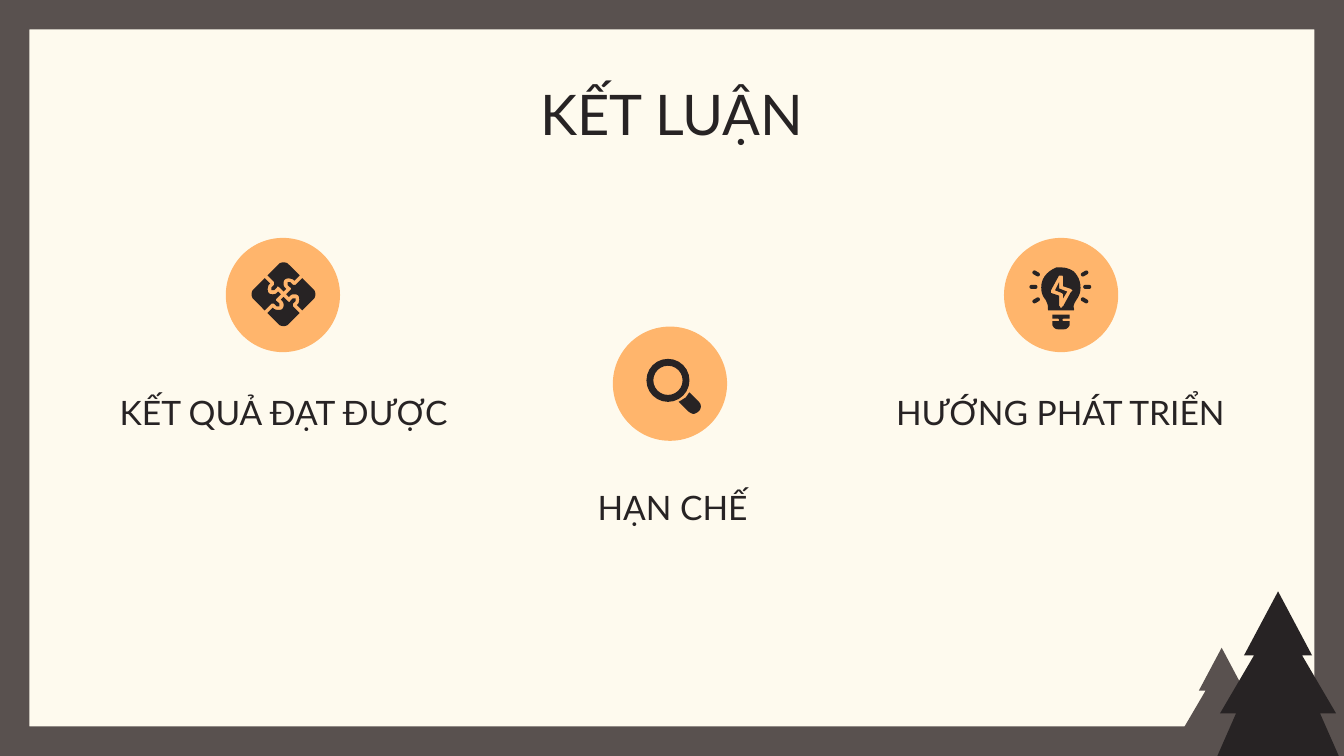
from dataclasses import dataclass

from pptx import Presentation
from pptx.dml.color import RGBColor
from pptx.enum.shapes import MSO_SHAPE
from pptx.enum.text import MSO_ANCHOR, PP_ALIGN
from pptx.shapes.autoshape import Shape
from pptx.slide import Slide
from pptx.util import Inches, Pt

CREAM = RGBColor(0xFE, 0xFA, 0xEE)
BROWN = RGBColor(0x59, 0x51, 0x4F)
DARK = RGBColor(0x27, 0x23, 0x24)
AMBER = RGBColor(0xFF, 0xB5, 0x6C)
WIDE, HIGH = 10, 5.625
DISC = 0.85

Box = tuple[float, float, float, float]
Step = tuple[float, ...]
Path = list[Step]


@dataclass
class Topic:
    label: str
    box: Box
    disc: tuple[float, float]


@dataclass
class Pine:
    mid: float
    top: float
    scale: float
    color: RGBColor


TOPICS = [
    Topic("KẾT QUẢ ĐẠT ĐƯỢC", (0.67, 2.81, 2.88, 0.51), (1.68, 1.77)),
    Topic("HẠN CHẾ", (4.22, 3.53, 1.57, 0.49), (4.56, 2.43)),
    Topic("HƯỚNG PHÁT TRIỂN", (6.45, 2.81, 2.88, 0.51), (7.47, 1.77)),
]
PINES = [Pine(9.09, 4.82, 1, BROWN), Pine(9.51, 4.4, 1.49, DARK)]
BOUGHS = [(0, 0), (0.17, 0.32), (0.12, 0.32), (0.29, 0.61), (0.21, 0.61), (0.32, 0.86)]

HUB = (2.11, 2.19)
PIECE = [
    (-0.14, -0.12), (-0.23, -0.03), (-0.24, -0.01, -0.24, 0.01, -0.23, 0.03),
    (-0.14, 0.12), (-0.09, 0.07), (-0.09, 0.07, -0.08, 0.07, -0.08, 0.07),
    (-0.08, 0.07, -0.07, 0.07, -0.07, 0.07), (-0.05, 0.09),
    (-0.05, 0.09, -0.05, 0.09, -0.04, 0.09), (-0.04, 0.09, -0.04, 0.09, -0.03, 0.09),
    (-0.03, 0.08, -0.03, 0.07, -0.03, 0.07), (-0.05, 0.05),
    (-0.06, 0.05, -0.06, 0.04, -0.05, 0.03), (-0.02, 0), (-0.04, -0.02), (-0.05, -0.01),
    (-0.06, 0, -0.07, 0, -0.08, 0), (-0.09, 0, -0.1, 0, -0.11, -0.01),
    (-0.12, -0.02, -0.12, -0.05, -0.11, -0.07), (-0.1, -0.08),
]
HANDLE = [
    (5.13, 2.92), (5.12, 2.93, 5.11, 2.95, 5.1, 2.96), (5.08, 2.97, 5.07, 2.98, 5.05, 2.99),
    (5.12, 3.06), (5.13, 3.07, 5.15, 3.08, 5.16, 3.08), (5.17, 3.08, 5.19, 3.07, 5.2, 3.06),
    (5.22, 3.04, 5.22, 3.01, 5.2, 2.99),
]
GLASS = [
    (7.9, 1.99), (7.88, 1.99, 7.87, 1.99, 7.86, 1.99), (7.81, 2.01, 7.76, 2.05, 7.75, 2.11),
    (7.74, 2.17, 7.76, 2.21, 7.78, 2.23), (7.81, 2.29, 7.79, 2.29, 7.8, 2.31), (7.99, 2.31),
    (8, 2.29, 7.97, 2.29, 8.01, 2.23), (8.03, 2.2, 8.04, 2.18, 8.04, 2.14),
    (8.04, 2.09, 8.02, 2.05, 7.99, 2.02), (7.96, 2, 7.93, 1.99, 7.9, 1.99),
]
HOLE = [
    (7.9, 2.05), (7.9, 2.05, 7.91, 2.05, 7.91, 2.06), (7.91, 2.13), (7.97, 2.15),
    (7.97, 2.15, 7.98, 2.16, 7.98, 2.16), (7.98, 2.16, 7.98, 2.17, 7.97, 2.17),
    (7.91, 2.28), (7.9, 2.28, 7.9, 2.29, 7.9, 2.29), (7.89, 2.29),
    (7.89, 2.28, 7.88, 2.28, 7.88, 2.27), (7.88, 2.2), (7.82, 2.18),
    (7.82, 2.18, 7.82, 2.17, 7.82, 2.17), (7.82, 2.17, 7.82, 2.16, 7.82, 2.16),
    (7.88, 2.05), (7.89, 2.05, 7.89, 2.05, 7.9, 2.05),
]
BOLT = [
    (7.88, 2.1), (7.85, 2.16), (7.9, 2.18), (7.9, 2.18, 7.91, 2.19, 7.91, 2.19),
    (7.91, 2.22), (7.94, 2.17), (7.89, 2.15), (7.88, 2.15, 7.88, 2.14, 7.88, 2.14),
]
BASE = [
    (7.83, 2.34), (7.83, 2.37), (7.87, 2.37), (7.88, 2.37, 7.89, 2.39, 7.87, 2.39),
    (7.83, 2.39), (7.83, 2.41), (7.83, 2.43, 7.85, 2.45, 7.87, 2.45), (7.92, 2.45),
    (7.94, 2.45, 7.96, 2.43, 7.96, 2.41), (7.96, 2.39), (7.92, 2.39),
    (7.9, 2.39, 7.9, 2.37, 7.92, 2.37), (7.96, 2.37), (7.96, 2.34),
]
RAYS = [(0.2, 0, 0), (0.18, -0.1, -30), (0.18, 0.1, 30)]


def paint(shape: Shape, color: RGBColor) -> Shape:
    """Give a shape a plain fill with no line or shadow."""
    shape.shadow.inherit = False
    shape.fill.solid()
    shape.fill.fore_color.rgb = color
    shape.line.fill.background()
    return shape


def add_form(slide: Slide, kind: MSO_SHAPE, box: Box, color: RGBColor, *,
             bend: float | None = None, turn: float = 0) -> None:
    """Draw a preset shape."""
    shape = paint(slide.shapes.add_shape(kind, *map(Inches, box)), color)
    shape.rotation = turn
    if bend is not None:
        shape.adjustments[0] = bend


def trace(path: Path, count: int = 6) -> list[tuple[int, int]]:
    """Turn lines and cubic curves into points."""
    dots = [path[0]]
    for step in path[1:]:
        if len(step) == 2:
            dots.append(step)
            continue
        chain = (*dots[-1], *step)
        for part in range(1, count + 1):
            t = part / count
            rates = ((1 - t) ** 3, 3 * t * (1 - t) ** 2, 3 * t * t * (1 - t), t ** 3)
            dots.append(tuple(sum(r * v for r, v in zip(rates, chain[k::2])) for k in (0, 1)))
    return [(Inches(x), Inches(y)) for x, y in dots]


def add_path(slide: Slide, color: RGBColor, *paths: Path) -> None:
    """Draw one outline, with any further paths as holes."""
    first, *rest = map(trace, paths)
    pen = slide.shapes.build_freeform(*first[0])
    pen.add_line_segments(first[1:], close=True)
    for dots in rest:
        pen.move_to(*dots[0])
        pen.add_line_segments(dots[1:], close=True)
    paint(pen.convert_to_shape(), color)


def add_text(slide: Slide, text: str, *, box: Box, size: float,
             anchor: MSO_ANCHOR = MSO_ANCHOR.BOTTOM) -> None:
    """Write a centred line of text."""
    frame = slide.shapes.add_textbox(*map(Inches, box)).text_frame
    frame.word_wrap = True
    frame.vertical_anchor = anchor
    frame.margin_left = frame.margin_right = Inches(0.1)
    frame.margin_top = frame.margin_bottom = Inches(0.1)
    line = frame.paragraphs[0]
    line.alignment = PP_ALIGN.CENTER
    run = line.add_run()
    run.text = text
    run.font.name = "Lato"
    run.font.size = Pt(size)
    run.font.color.rgb = DARK


def add_pine(slide: Slide, pine: Pine) -> None:
    """Draw a tree from its mirrored half."""
    half = [(x * pine.scale, pine.top + y * pine.scale) for x, y in BOUGHS]
    right = [(pine.mid + x, y) for x, y in half]
    left = [(pine.mid - x, y) for x, y in reversed(half[1:])]
    add_path(slide, DARK if pine.color == DARK else pine.color, right + left)


def add_puzzle(slide: Slide) -> None:
    """Draw four pieces by quarter turns about the hub."""
    piece = PIECE
    for _ in range(4):
        add_path(slide, DARK, [tuple(v + HUB[k % 2] for k, v in enumerate(s)) for s in piece])
        piece = [tuple(v for x, y in zip(s[::2], s[1::2]) for v in (-y, x)) for s in piece]


def add_lens(slide: Slide) -> None:
    """Draw the lens and its handle."""
    add_form(slide, MSO_SHAPE.DONUT, (4.81, 2.67, 0.32, 0.32), DARK, bend=0.16)
    add_path(slide, DARK, HANDLE)


def add_bulb(slide: Slide) -> None:
    """Draw the bulb and its rays."""
    for across, down, turn in RAYS:
        for side in (-1, 1):
            box = (7.86 + side * across, 2.12 + down, 0.06, 0.03)
            add_form(slide, MSO_SHAPE.ROUNDED_RECTANGLE, box, DARK, bend=0.5, turn=side * turn)
    add_path(slide, DARK, GLASS, HOLE)
    add_path(slide, DARK, BOLT)
    add_path(slide, DARK, BASE)


def main() -> None:
    """Build and save the slide."""
    deck = Presentation()
    deck.slide_width, deck.slide_height = Inches(WIDE), Inches(HIGH)
    slide = deck.slides.add_slide(deck.slide_layouts[6])
    slide.background.fill.solid()
    slide.background.fill.fore_color.rgb = CREAM
    add_form(slide, MSO_SHAPE.FRAME, (0, 0, WIDE, HIGH), BROWN, bend=0.22 / HIGH)
    for pine in PINES:
        add_pine(slide, pine)
    add_text(slide, "KẾT LUẬN", box=(0.79, 0.49, 8.42, 0.63), size=30, anchor=MSO_ANCHOR.TOP)
    for topic in TOPICS:
        add_text(slide, topic.label, box=topic.box, size=18)
        add_form(slide, MSO_SHAPE.OVAL, (*topic.disc, DISC, DISC), AMBER)
    add_puzzle(slide)
    add_lens(slide)
    add_bulb(slide)
    deck.save("out.pptx")


if __name__ == "__main__":
    main()
